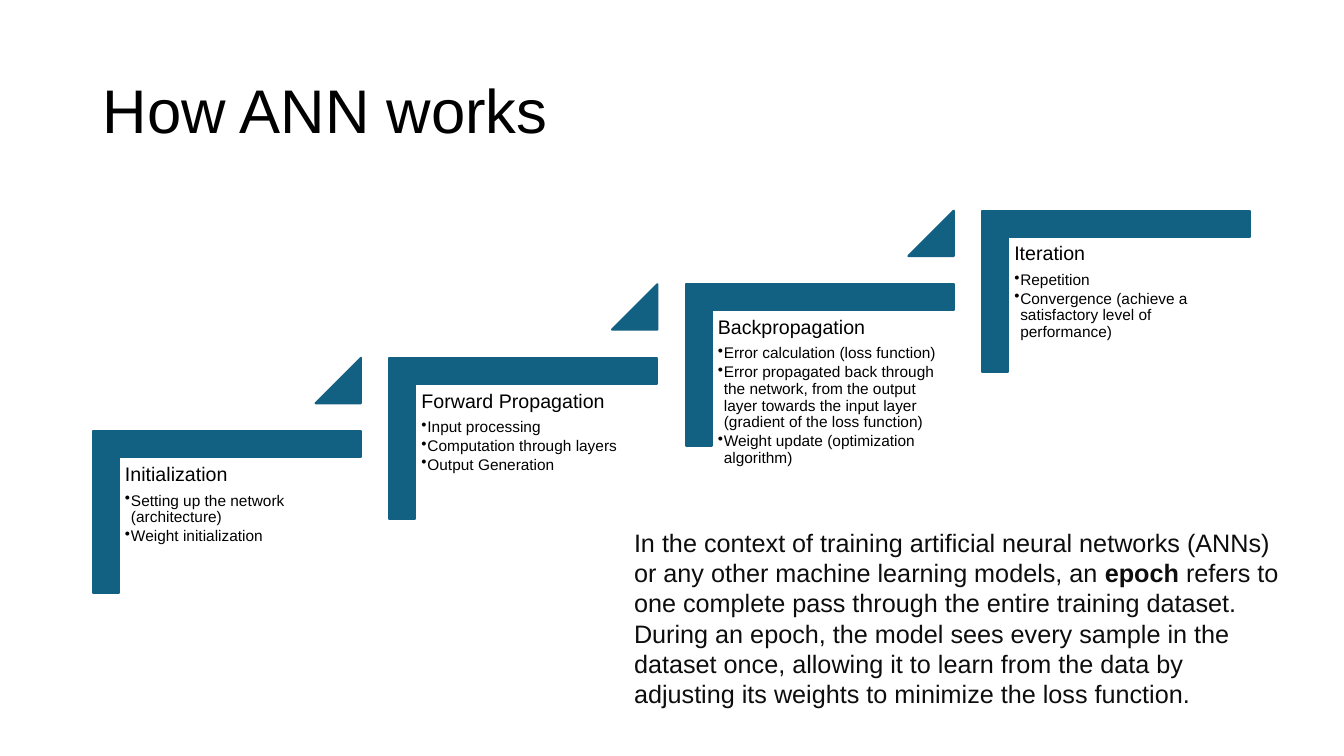
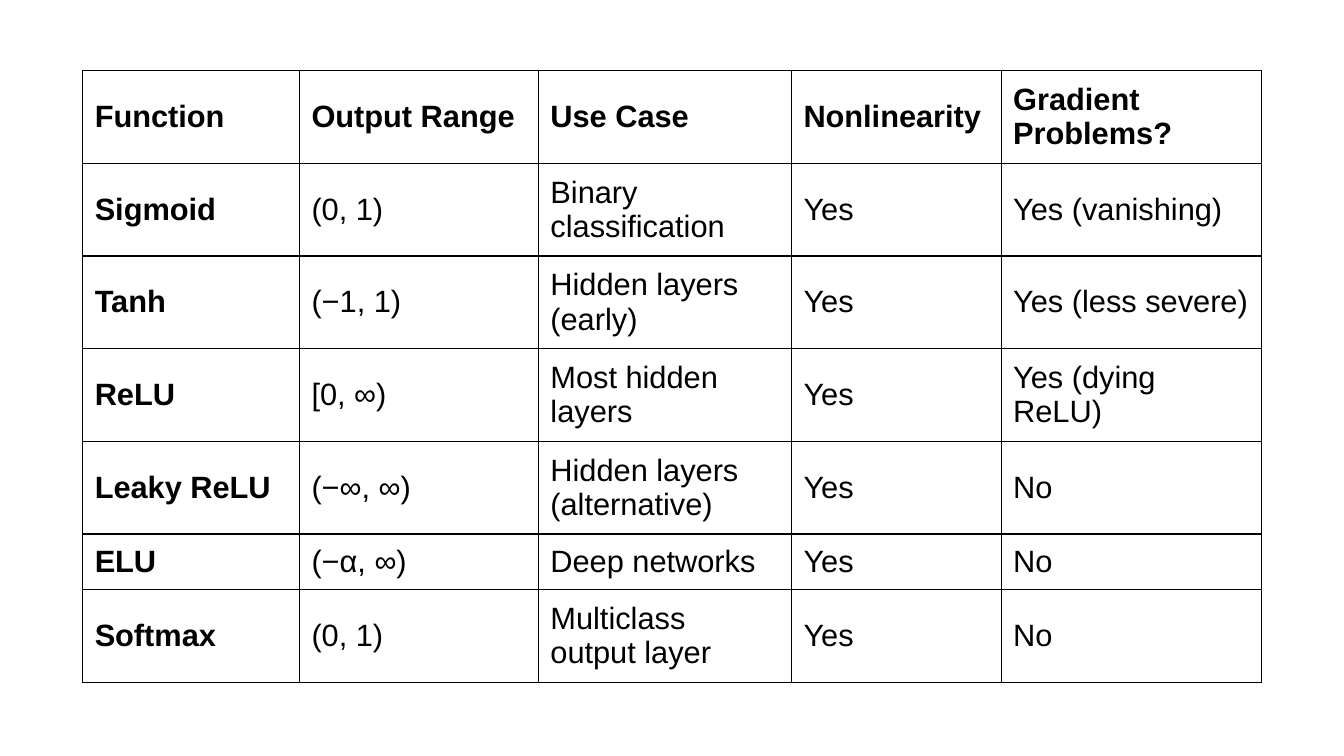
from pptx import Presentation
from pptx.dml.color import RGBColor
from pptx.enum.shapes import MSO_SHAPE
from pptx.enum.text import MSO_ANCHOR
from pptx.oxml.ns import qn
from pptx.util import Inches, Pt
from lxml.etree import SubElement

FONT = "Arial"
BLACK, WHITE, TEAL, INK = "000000", "FFFFFF", "126082", "0D0D0D"

STEPS = [
    ("Initialization",
     ["Setting up the network (architecture)", "Weight initialization"]),
    ("Forward Propagation",
     ["Input processing", "Computation through layers", "Output Generation"]),
    ("Backpropagation",
     ["Error calculation (loss function)",
      "Error propagated back through the network, from the output layer "
      "towards the input layer (gradient of the loss function)",
      "Weight update (optimization algorithm)"]),
    ("Iteration",
     ["Repetition", "Convergence (achieve a satisfactory level of performance)"]),
]

EPOCH_NOTE = [
    ("In the context of training artificial neural networks (ANNs) or any other "
     "machine learning models, an ", False),
    ("epoch", True),
    (" refers to one complete pass through the entire training dataset. During an "
     "epoch, the model sees every sample in the dataset once, allowing it to learn "
     "from the data by adjusting its weights to minimize the loss function.", False),
]

COL_WIDTHS = [2.15, 2.37, 2.51, 2.08, 2.58]
ROW_HEIGHTS = [0.92, 0.92, 0.92, 0.92, 0.92, 0.55, 0.92]
FUNCTIONS = [
    ("Function", "Output Range", "Use Case", "Nonlinearity", "Gradient Problems?"),
    ("Sigmoid", "(0, 1)", "Binary classification", "Yes", "Yes (vanishing)"),
    ("Tanh", "(−1, 1)", "Hidden layers (early)", "Yes", "Yes (less severe)"),
    ("ReLU", "[0, ∞)", "Most hidden layers", "Yes", "Yes (dying ReLU)"),
    ("Leaky ReLU", "(−∞, ∞)", "Hidden layers (alternative)", "Yes", "No"),
    ("ELU", "(−α, ∞)", "Deep networks", "Yes", "No"),
    ("Softmax", "(0, 1)", "Multiclass output layer", "Yes", "No"),
]


def rgb(value):
    return RGBColor.from_string(value)


def set_margins(target, across, down):
    margins = {"margin_left": across, "margin_right": across,
               "margin_top": down, "margin_bottom": down}
    for name, value in margins.items():
        setattr(target, name, Inches(value))


def add_run(p, text, size, color=BLACK, bold=False):
    r = p.add_run()
    r.text = text
    for name, value in {"name": FONT, "size": Pt(size), "bold": bold}.items():
        setattr(r.font, name, value)
    r.font.color.rgb = rgb(color)


def add_text_box(s, x, y, w, h, margins=(0.1, 0.05), anchor=MSO_ANCHOR.TOP):
    tf = s.shapes.add_textbox(Inches(x), Inches(y), Inches(w), Inches(h)).text_frame
    tf.word_wrap = True
    tf.vertical_anchor = anchor
    set_margins(tf, *margins)
    return tf


def add_solid(s, kind, x, y, w, h, adjustments):
    sp = s.shapes.add_shape(kind, Inches(x), Inches(y), Inches(w), Inches(h))
    for i, value in enumerate(adjustments):
        sp.adjustments[i] = value
    sp.shadow.inherit = False
    sp.fill.solid()
    sp.fill.fore_color.rgb = rgb(TEAL)
    sp.line.color.rgb = rgb(TEAL)
    sp.line.width = Pt(1.5)
    return sp


def add_bullet(p):
    pPr = p._p.get_or_add_pPr()
    pPr.set("marL", str(Inches(0.06)))
    pPr.set("indent", str(Inches(-0.08)))
    SubElement(pPr, qn("a:buChar"), char="•")


def add_title(s, text):
    tf = add_text_box(s, 0.92, 0.4, 11.5, 1.45, anchor=MSO_ANCHOR.MIDDLE)
    p = tf.paragraphs[0]
    p.line_spacing = 0.9
    add_run(p, text, 44)


def add_step(s, x, y, heading, bullets):
    """Draw one stair whose visible corner bracket starts at x, y."""
    w, h = 2.66, 1.6
    # The bracket is an L turned a quarter, so its unrotated frame is h by w.
    bracket = add_solid(s, MSO_SHAPE.CORNER, x + (w - h) / 2, y - (w - h) / 2,
                        h, w, (0.161, 0.161))
    bracket.rotation = 90
    tf = add_text_box(s, x + 0.26, y + 0.27, 2.4, 2.11, margins=(0.06, 0.06))
    p = tf.paragraphs[0]
    p.line_spacing = 0.9
    add_run(p, heading, 14)
    for i, bullet in enumerate(bullets):
        p = tf.add_paragraph()
        p.line_spacing = 0.9
        p.space_before = Pt(1.6 if i else 4.9)
        add_bullet(p)
        add_run(p, bullet, 11)


def add_staircase(s, x, y, run=2.94, rise=0.73):
    """Place the steps upwards from x, y, with a triangle between neighbours."""
    for i, (heading, bullets) in enumerate(STEPS):
        left, top = x + i * run, y - i * rise
        add_step(s, left, top, heading, bullets)
        if i < len(STEPS) - 1:
            add_solid(s, MSO_SHAPE.ISOSCELES_TRIANGLE, left + 2.21, top - rise,
                      0.45, 0.45, (1,))


def add_epoch_note(s, x, y, w, h):
    p = add_text_box(s, x, y, w, h).paragraphs[0]
    for text, bold in EPOCH_NOTE:
        add_run(p, text, 18, INK, bold)


def add_borders(cell):
    tcPr = cell._tc.get_or_add_tcPr()
    for side in ("lnL", "lnR", "lnT", "lnB"):
        ln = SubElement(tcPr, qn(f"a:{side}"), w=str(Pt(1)))
        SubElement(SubElement(ln, qn("a:solidFill")), qn("a:srgbClr"), val=BLACK)


def add_function_table(s, x, y):
    table = s.shapes.add_table(
        len(ROW_HEIGHTS), len(COL_WIDTHS), Inches(x), Inches(y),
        Inches(sum(COL_WIDTHS)), Inches(sum(ROW_HEIGHTS))).table
    table.horz_banding = False
    for column, width in zip(table.columns, COL_WIDTHS):
        column.width = Inches(width)
    for row, height in zip(table.rows, ROW_HEIGHTS):
        row.height = Inches(height)
    for i, values in enumerate(FUNCTIONS):
        for j, text in enumerate(values):
            cell = table.cell(i, j)
            add_borders(cell)
            cell.fill.solid()
            cell.fill.fore_color.rgb = rgb(WHITE)
            cell.vertical_anchor = MSO_ANCHOR.MIDDLE
            set_margins(cell, 0.12, 0.06)
            add_run(cell.text_frame.paragraphs[0], text, 22, bold=i == 0 or j == 0)


def build_process_slide(s):
    add_title(s, "How ANN works")
    add_staircase(s, 0.92, 4.28)
    add_epoch_note(s, 6.19, 5.18, 6.67, 1.92)


def build_function_slide(s):
    add_function_table(s, 0.82, 0.7)


def main():
    prs = Presentation()
    prs.slide_width, prs.slide_height = Inches(13.33), Inches(7.5)
    for build in (build_process_slide, build_function_slide):
        build(prs.slides.add_slide(prs.slide_layouts[6]))
    prs.save("out.pptx")


if __name__ == "__main__":
    main()
